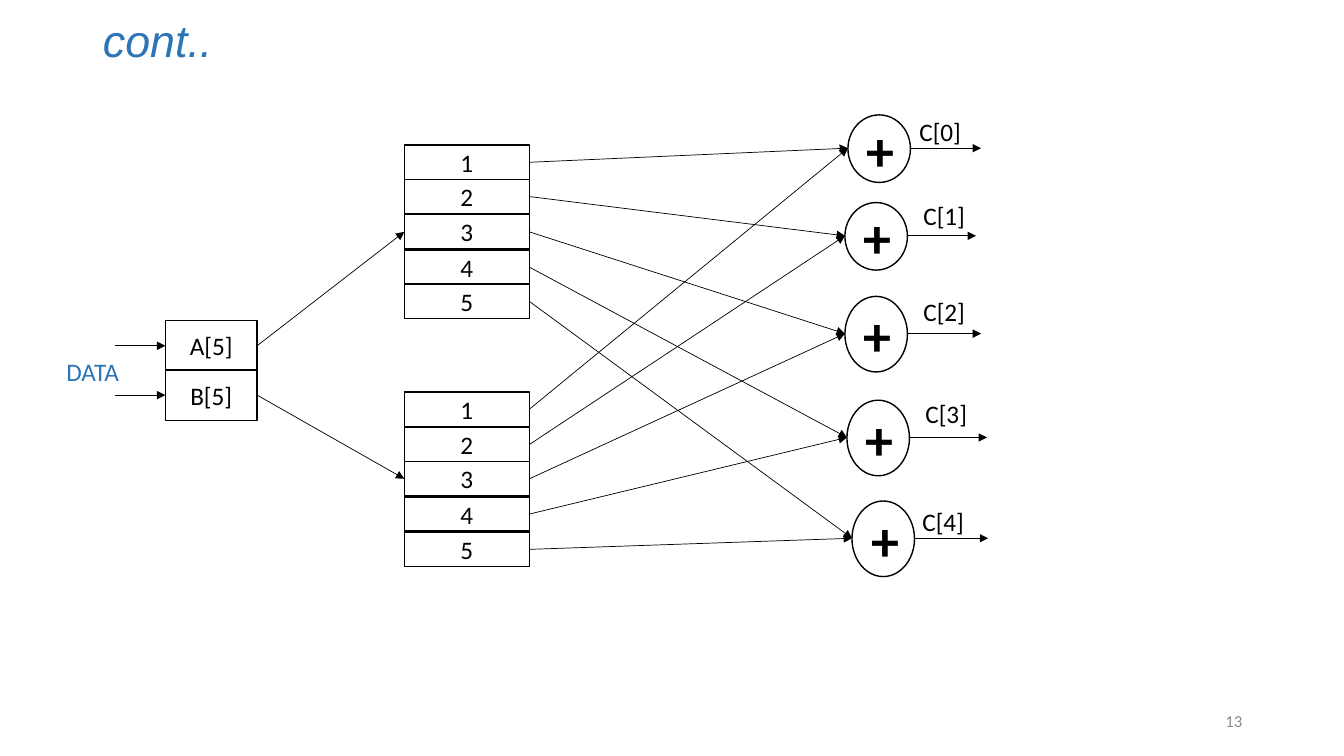
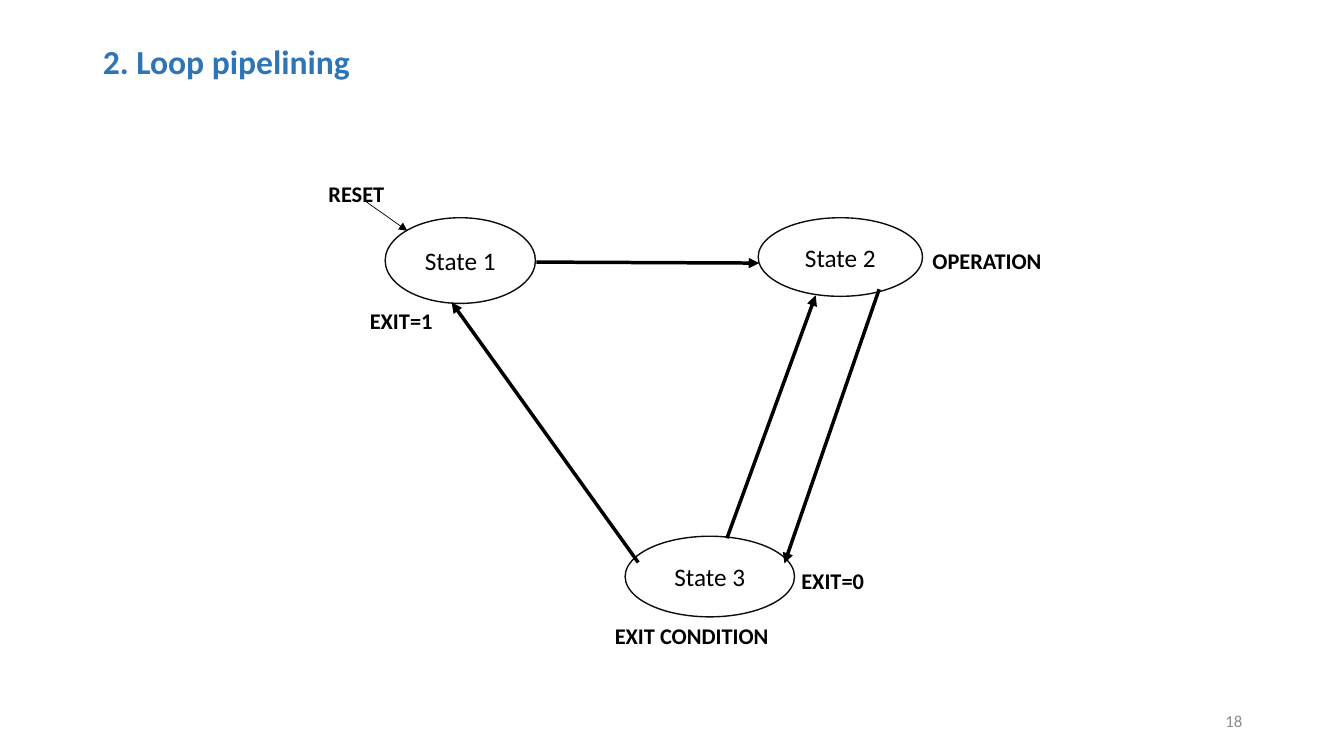
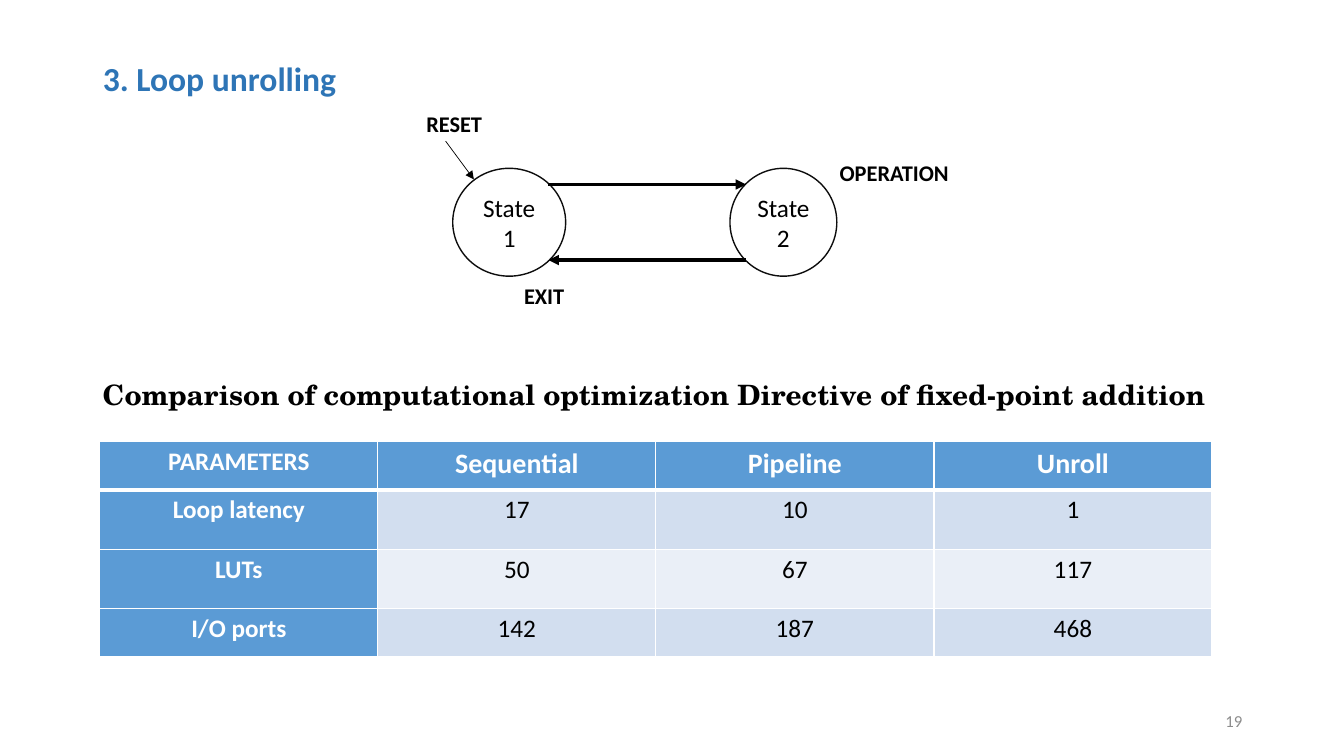
import lxml.etree
import pptx
import pptx.dml.color
import pptx.enum.shapes
import pptx.enum.text
import pptx.oxml.ns
import pptx.util

PX = 9144  # EMU in one px, 100 px to the inch
BLACK, DARK, WHITE, GREY = "000000", "0D0D0D", "FFFFFF", "8C8C8C"
TITLE, HEAD, ODD, EVEN = "2E75B6", "5B9BD5", "D2DEEF", "EAEFF7"
BODY = "Calibri"
RECT = pptx.enum.shapes.MSO_SHAPE.RECTANGLE
OVAL = pptx.enum.shapes.MSO_SHAPE.OVAL
ALIGN = pptx.enum.text.PP_ALIGN
MIDDLE = pptx.enum.text.MSO_ANCHOR.MIDDLE
FIT = pptx.enum.text.MSO_AUTO_SIZE
qn = pptx.oxml.ns.qn


def emu(*sizes):
    return [round(size * PX) for size in sizes]


def ink(code):
    return pptx.dml.color.RGBColor.from_string(code)


def write(frame, text, size, color=BLACK, bold=False, align=ALIGN.LEFT, face=BODY):
    frame.text = text
    para = frame.paragraphs[0]
    para.alignment = align
    font = para.font
    font.name, font.size, font.bold = face, pptx.util.Pt(size), bold
    font.color.rgb = ink(color)
    return para


def label(slide, box, text, size, color=BLACK, bold=False, face=BODY):
    frame = slide.shapes.add_textbox(*emu(*box)).text_frame
    frame.word_wrap = True
    frame.auto_size = FIT.SHAPE_TO_FIT_TEXT
    write(frame, text, size, color, bold, face=face)


def node(slide, kind, box, text, size=18, bold=False, edge=BLACK):
    shape = slide.shapes.add_shape(kind, *emu(*box))
    shape.shadow.inherit = False
    shape.fill.solid()
    shape.fill.fore_color.rgb = ink(WHITE)
    shape.line.color.rgb = ink(edge)
    shape.line.width = pptx.util.Pt(1)
    shape.text_frame.vertical_anchor = MIDDLE
    write(shape.text_frame, text, size, bold=bold, align=ALIGN.CENTER)
    return shape


def arrow(slide, ends, width=0.5, start=None, stop=None):
    """Draw an arrow, leaving start on its right and meeting stop on its left."""
    straight = pptx.enum.shapes.MSO_CONNECTOR.STRAIGHT
    line = slide.shapes.add_connector(straight, *emu(*ends))
    if start is not None:
        line.begin_connect(start, 3)
    if stop is not None:
        line.end_connect(stop, 1)
    line.line.color.rgb = ink(BLACK)
    line.line.width = pptx.util.Pt(width)
    props = line.element.spPr
    lxml.etree.SubElement(props.find(qn("a:ln")), qn("a:tailEnd"), type="triangle")
    lxml.etree.SubElement(props, qn("a:effectLst"))


def page(deck, title, top, height, number, size=24, face=BODY, bold=True, italic=False):
    """Add a slide with its title and page number."""
    slide = deck.slides.add_slide(deck.slide_layouts[5])
    head = slide.shapes.title
    head.left, head.top, head.width, head.height = emu(92, top, 1150, height)
    frame = head.text_frame
    frame.word_wrap, frame.auto_size = True, FIT.NONE
    frame.vertical_anchor = MIDDLE
    para = write(frame, title, size, TITLE, bold, face=face)
    para.font.italic = italic
    para.line_spacing = 0.9
    foot = slide.shapes.add_textbox(*emu(942, 695, 300, 40)).text_frame
    foot.word_wrap = True
    foot.vertical_anchor = MIDDLE
    write(foot, str(number), 12, GREY, align=ALIGN.RIGHT)
    return slide


def stack(slide, box, names, tall):
    """Fill a box with evenly spaced cells, each tall px high."""
    left, top, width, height = box
    pitch = (height - tall) / (len(names) - 1)
    return [node(slide, RECT, (left, round(top + i * pitch), width, tall), name)
            for i, name in enumerate(names)]


def source(slide, left, top):
    """Data inputs; returns the two input cells."""
    cells = stack(slide, (left + 108, top, 91, 99), ["A[5]", "B[5]"], 50)
    for i, cell in enumerate(cells):
        y = top + 25 + 49 * i
        arrow(slide, (left + 58, y, left + 108, y), stop=cell)
    label(slide, (left, top + 31, 77, 40), "DATA", 18, TITLE)
    return cells


def adder(slide, box, name, spot, tip, feeds):
    """One adder with its output; spot and tip are offsets from the box."""
    left, top, width, height = box
    node(slide, OVAL, box, "+", 40, True)
    mid = top + height // 2
    for feed in feeds:
        arrow(slide, (left, mid, left, mid), start=feed)
    arrow(slide, (left + width, mid, left + tip, mid))
    label(slide, (left + spot[0], top + spot[1], 77, 40), name, 18)


def unrolled(slide):
    """Inputs, two register banks and five adders."""
    inputs = source(slide, 56, 318)
    names = [str(i) for i in range(1, 6)]
    banks = [stack(slide, (401, top, 124, height), names, 34)
             for top, height in ((144, 172), (389, 173))]
    for cell, bank in zip(inputs, banks):
        arrow(slide, (0, 0, 0, 0), start=cell, stop=bank[2])
    adders = [((841, 114, 62, 67), (61, -3), 132),
              ((838, 201, 62, 67), (68, -7), 130),
              ((838, 294, 62, 75), (68, -5), 135),
              ((840, 397, 62, 75), (68, -7), 139),
              ((845, 497, 62, 75), (60, 0), 135)]
    for i, (box, spot, tip) in enumerate(adders):
        adder(slide, box, f"C[{i}]", spot, tip, [bank[i] for bank in banks])


def states(slide, left, top, ovals, moves, reset, notes):
    """State diagram, with all places relative to its left and top."""
    def shift(x, y, *rest):
        return (left + x, top + y, *rest)

    for i, box in enumerate(ovals, 1):
        node(slide, OVAL, shift(*box), f"State {i}", edge=DARK)
    for ends, width in [(move, 2.5) for move in moves] + [(reset, 0.5)]:
        arrow(slide, shift(*ends[:2]) + shift(*ends[2:]), width)
    for text, x, y, width in notes:
        label(slide, shift(x, y, width, 37), text, 16, bold=True)


def edges(cell, row):
    """White cell borders, thick below the header row."""
    props = cell._tc.get_or_add_tcPr()
    for i, side in enumerate("LRTB"):
        thick = (side == "B" and row == 0) or (side == "T" and row == 1)
        line = lxml.etree.Element(qn("a:ln" + side), w=str(12700 * (3 if thick else 1)))
        fill = lxml.etree.SubElement(line, qn("a:solidFill"))
        lxml.etree.SubElement(fill, qn("a:srgbClr"), val=WHITE)
        props.insert(i, line)


def table(slide, box, rows, heights):
    grid = slide.shapes.add_table(len(rows), len(rows[0]), *emu(*box)).table
    for r, (row, height) in enumerate(zip(rows, heights)):
        grid.rows[r].height = emu(height)[0]
        for c, text in enumerate(row):
            cell = grid.cell(r, c)
            head = r == 0 or c == 0
            cell.fill.solid()
            cell.fill.fore_color.rgb = ink(HEAD if head else ODD if r % 2 else EVEN)
            edges(cell, r)
            write(cell.text_frame, text, 20 if r == 0 and c else 18,
                  WHITE if head else BLACK, head, ALIGN.CENTER)


def main():
    deck = pptx.Presentation()
    deck.slide_width, deck.slide_height = emu(1333, 750)

    # Parallel adders
    slide = page(deck, "cont..", 9, 68, 13, 32, "Arial", False, True)
    unrolled(slide)

    # Pipelined loop
    slide = page(deck, "2. Loop pipelining", 7, 113, 18)
    states(slide, 316, 174,
           [(66, 42, 149, 85), (436, 42, 163, 78), (304, 358, 168, 80)],
           [(216, 86, 437, 87), (405, 360, 493, 119),
            (556, 113, 462, 385), (317, 384, 132, 126)],
           (47, 26, 88, 55),
           [("RESET", 0, 0, 176), ("EXIT CONDITION", 284, 438, 207),
            ("OPERATION", 599, 66, 207), ("EXIT=0", 469, 384, 207),
            ("EXIT=1", 41, 126, 207)])

    # Unrolled loop and comparison
    slide = page(deck, "3. Loop unrolling", 7, 145, 19)
    states(slide, 413, 104,
           [(36, 63, 112, 107), (311, 63, 106, 107)],
           [(131, 79, 327, 79), (327, 154, 131, 154)],
           (29, 36, 57, 74),
           [("RESET", 0, 0, 176), ("EXIT", 97, 171, 94),
            ("OPERATION", 410, 49, 156)])
    label(slide, (92, 370, 1121, 44),
          "Comparison of computational optimization Directive of fixed-point addition",
          20, bold=True, face="TeX Gyre Schola")
    table(slide, (99, 438, 1103, 212),
          [("PARAMETERS", "Sequential", "Pipeline", "Unroll"),
           ("Loop latency", "17", "10", "1"),
           ("LUTs", "50", "67", "117"),
           ("I/O ports", "142", "187", "468")],
          (48, 59, 59, 47))

    deck.save("out.pptx")


if __name__ == "__main__":
    main()
